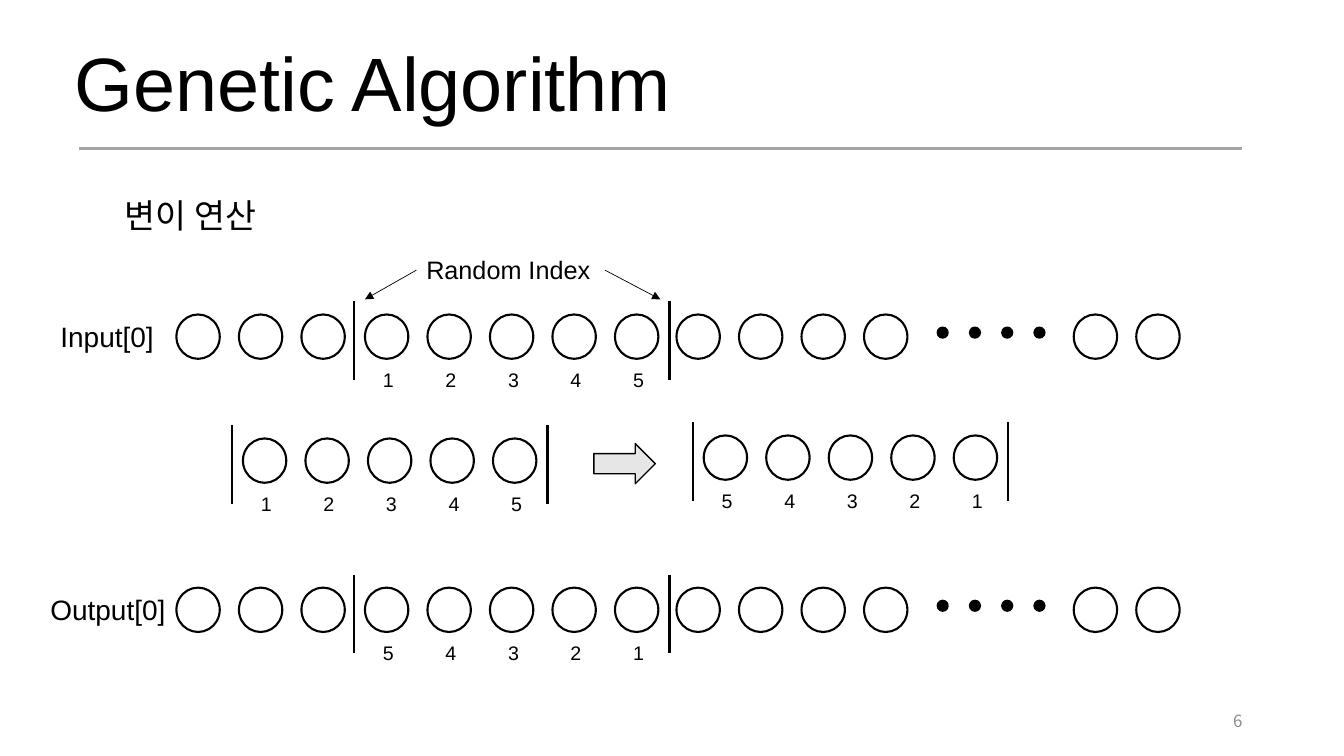
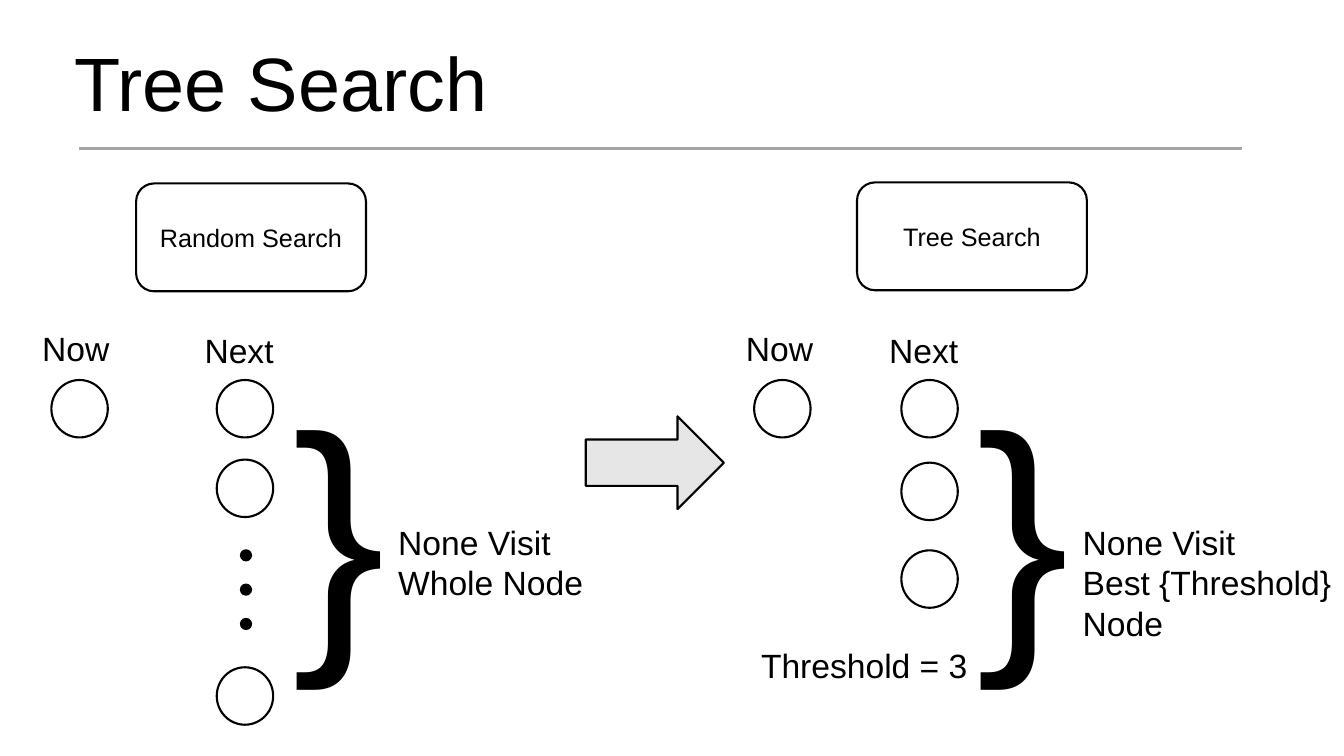
import pptx
import pptx.util
import pptx.dml.color
from pptx.enum.dml import MSO_THEME_COLOR
from pptx.enum.shapes import MSO_CONNECTOR, MSO_SHAPE
from pptx.enum.text import MSO_ANCHOR, PP_ALIGN
from pptx.oxml.ns import qn
from dataclasses import dataclass
from lxml import etree

Inches, Pt = pptx.util.Inches, pptx.util.Pt


@dataclass(frozen=True)
class Theme:
    ink: str = "000000"
    paper: str = "FFFFFF"
    arrow: str = "E7E6E6"
    rule: str = "A5A5A5"
    muted: str = "8C8C8C"
    latin: str = "Arial"
    korean: str = "Noto Sans CJK KR"
    title: int = 54
    brace: int = 199
    body: int = 24
    row: int = 20
    caption: int = 18
    digit: int = 14
    page: int = 12
    line: float = 1.5


T = Theme()

# Content: slide 1
GENETIC_TITLE = "Genetic Algorithm"
MUTATION = "변이 연산"
INDEX_NOTE = "Random Index"
PAGE_NUMBER = "6"
BEFORE, AFTER = "12345", "54321"
ROWS = [  # name, label left, label width, bar top, digits
    ("Input[0]", 0.5, 1.15, 2.99, BEFORE),
    ("Output[0]", 0.4, 1.35, 5.7, AFTER),
]
SEGMENTS = [(6.87, 4.19, AFTER), (2.3, 4.22, BEFORE)]  # bar left, bar top, digits
INDEX_ARROWS = [(4.13, 3.62), (6, 6.55)]  # x at the note, x at the bar

# Content: slide 2
TREE_TITLE = "Tree Search"
SEARCHES = [
    dict(name="Random Search", box=(1.35, 1.82), now=0.51, now_label=0.32,
         next=2.15, next_label=1.93, nodes=[3.77, 4.56, 6.62],
         dots=[5.46, 5.8, 6.14], brace=2.8, note_width=2.15,
         note=["None Visit", "Whole Node"]),
    dict(name="Tree Search", box=(8.5, 1.81), now=7.48, now_label=7.3,
         next=8.94, next_label=8.72, nodes=[3.77, 4.59, 5.46],
         dots=[], brace=9.59, note_width=2.74,
         note=["None Visit", "Best {Threshold}", "Node"]),
]
THRESHOLD = "Threshold = 3"

# Geometry
PITCH = 0.62
GENE = (0.43, 0.44)
NODE = (0.56, 0.57)
DOT = 0.1
ROW_LEFT, TAIL_LEFT, SEGMENT_LEFT = 1.75, 10.65, 3.51
DOTS_LEFT, DOTS_PITCH = 9.3, 0.32
BAR_HEIGHT, SEGMENT_WIDTH = 0.78, 3.13


def rgb(color):
    return pptx.dml.color.RGBColor.from_string(color)


def write(tf, text, size=T.body, font=T.latin, color=T.ink,
          align=PP_ALIGN.LEFT, anchor=MSO_ANCHOR.TOP, wrap=True):
    """Fill a text frame; a list of strings gives one paragraph each."""
    tf.word_wrap = wrap
    tf.vertical_anchor = anchor
    for i, line in enumerate([text] if isinstance(text, str) else text):
        p = tf.add_paragraph() if i else tf.paragraphs[0]
        p.alignment = align
        r = p.add_run()
        r.text = line
        r.font.size = Pt(size)
        r.font.name = font
        r.font.color.rgb = rgb(color)
        etree.SubElement(r.font._element, qn("a:ea"), typeface=font)


def label(shapes, text, x, y, w, h=0.5, **fmt):
    write(shapes.add_textbox(*map(Inches, (x, y, w, h))).text_frame, text, **fmt)


def shape(shapes, kind, x, y, w, h, fill=T.paper, width=T.line):
    sp = shapes.add_shape(kind, *map(Inches, (x, y, w, h)))
    sp.shadow.inherit = False
    sp.fill.solid()
    sp.fill.fore_color.rgb = rgb(fill)
    sp.line.color.rgb = rgb(T.ink)
    sp.line.width = Pt(width)
    return sp


def circle(shapes, x, y, size):
    shape(shapes, MSO_SHAPE.OVAL, x, y, *size)


def dot(shapes, x, y):
    shape(shapes, MSO_SHAPE.OVAL, x, y, DOT, DOT, fill=T.ink)


def line(shapes, x1, y1, x2, y2, color=T.ink, width=T.line, arrow=False):
    c = shapes.add_connector(MSO_CONNECTOR.STRAIGHT, *map(Inches, (x1, y1, x2, y2)))
    c.line.color.rgb = rgb(color)
    c.line.width = Pt(width)
    if arrow:
        etree.SubElement(c.line._get_or_add_ln(), qn("a:tailEnd"), type="triangle")
    etree.SubElement(c._element.spPr, qn("a:effectLst"))


def new_slide(prs, title):
    shapes = prs.slides.add_slide(prs.slide_layouts[6]).shapes
    line(shapes, 0.78, 1.47, 12.32, 1.47, color=T.rule, width=2.25)
    label(shapes, title, 0.64, 0.31, 11.7, 1.01, size=T.title)
    return shapes


def segment(shapes, left, top, digits):
    """Numbered genes between two bars."""
    for i, digit in enumerate(digits):
        x = left + i * PITCH
        circle(shapes, x + 0.11, top + 0.13, GENE)
        label(shapes, digit, x + 0.19, top + 0.61, 0.31, 0.34, size=T.digit)
    for x in (left, left + SEGMENT_WIDTH):
        line(shapes, x, top, x, top + BAR_HEIGHT)


def gene_row(shapes, name, left, width, top, digits):
    outside = [ROW_LEFT + i * PITCH for i in (0, 1, 2, 8, 9, 10, 11)]
    for x in outside + [TAIL_LEFT, TAIL_LEFT + PITCH]:
        circle(shapes, x, top + 0.13, GENE)
    for i in range(4):
        dot(shapes, DOTS_LEFT + i * DOTS_PITCH, top + 0.26)
    segment(shapes, SEGMENT_LEFT, top, digits)
    label(shapes, name, left, top + 0.13, width, 0.44, size=T.row)


def genetic_slide(prs):
    shapes = new_slide(prs, GENETIC_TITLE)
    label(shapes, PAGE_NUMBER, 9.42, 6.95, 3, 0.4, size=T.page, font=T.korean,
          color=T.muted, align=PP_ALIGN.RIGHT, anchor=MSO_ANCHOR.MIDDLE)
    label(shapes, MUTATION, 1.14, 1.88, 1.67, font=T.korean)
    label(shapes, INDEX_NOTE, 4.13, 2.47, 1.87, 0.4, size=T.caption)
    for start, end in INDEX_ARROWS:
        line(shapes, start, 2.68, end, 2.97, width=0.5, arrow=True)
    for row in ROWS:
        gene_row(shapes.add_group_shape().shapes, *row)
    # Reversal of the chosen segment
    reversal = shapes.add_group_shape().shapes
    for part in SEGMENTS:
        segment(reversal, *part)
    shape(reversal, MSO_SHAPE.RIGHT_ARROW, 5.89, 4.4, 0.61, 0.4, fill=T.arrow, width=1)


def search_column(shapes, col):
    box = shape(shapes, MSO_SHAPE.ROUNDED_RECTANGLE, *col["box"], 2.28, 1.07)
    write(box.text_frame, col["name"], size=T.caption,
          align=PP_ALIGN.CENTER, anchor=MSO_ANCHOR.MIDDLE)
    label(shapes, "Now", col["now_label"], 3.2, 0.92)
    label(shapes, "Next", col["next_label"], 3.22, 0.92)
    circle(shapes, col["now"], col["nodes"][0], NODE)
    for y in col["nodes"]:
        circle(shapes, col["next"], y, NODE)
    for y in col["dots"]:
        dot(shapes, col["next"] + 0.24, y)
    label(shapes, "}", col["brace"], 3.46, 1.05, 3.45, size=T.brace, wrap=False)
    label(shapes, col["note"], col["brace"] + 1.05, 5.13, col["note_width"], 0.91)


def tree_slide(prs):
    shapes = new_slide(prs, TREE_TITLE)
    for col in SEARCHES:
        search_column(shapes, col)
    label(shapes, THRESHOLD, 7.45, 6.35, 2.34)
    shape(shapes, MSO_SHAPE.RIGHT_ARROW, 5.81, 4.13, 1.37, 0.92, fill=T.arrow)


def main():
    prs = pptx.Presentation()
    prs.slide_width, prs.slide_height = Inches(13.33), Inches(7.5)
    genetic_slide(prs)
    tree_slide(prs)
    prs.save("out.pptx")


if __name__ == "__main__":
    main()
